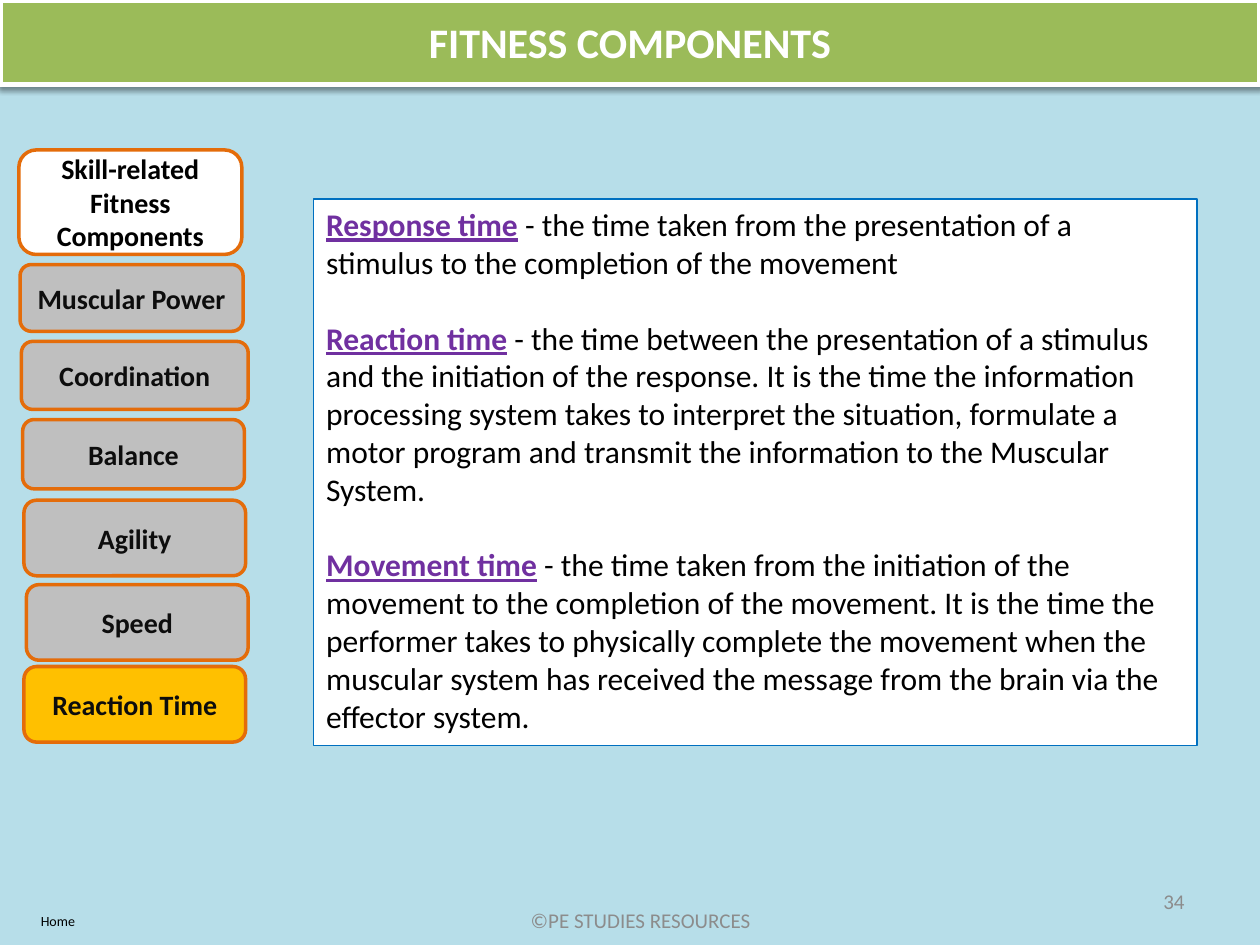
import pptx
import pptx.util
import pptx.dml.color
import pptx.enum.shapes
import pptx.enum.text
import pptx.oxml
import pptx.oxml.ns

Inches, Pt = pptx.util.Inches, pptx.util.Pt
RGBColor = pptx.dml.color.RGBColor
SHAPE = pptx.enum.shapes.MSO_SHAPE
ALIGN = pptx.enum.text.PP_ALIGN
ANCHOR = pptx.enum.text.MSO_ANCHOR

SKY = RGBColor(0xB7, 0xDE, 0xE9)
GREEN = RGBColor(0x9B, 0xBB, 0x59)
WHITE = RGBColor(0xFF, 0xFF, 0xFF)
BLACK = RGBColor(0, 0, 0)
INK = RGBColor(0x0D, 0x0D, 0x0D)
GREY = RGBColor(0xBF, 0xBF, 0xBF)
FOOTER_GREY = RGBColor(0x8C, 0x8C, 0x8C)
ORANGE = RGBColor(0xE4, 0x6C, 0x0A)
AMBER = RGBColor(0xFF, 0xC0, 0x00)
BLUE = RGBColor(0x00, 0x70, 0xC0)
PURPLE = RGBColor(0x70, 0x30, 0xA0)

BUTTONS = [
    ("Skill-related Fitness Components", (0.15, 1.19, 1.77, 0.83), WHITE, BLACK),
    ("Muscular Power", (0.16, 2.1, 1.77, 0.53), GREY, INK),
    ("Coordination", (0.17, 2.71, 1.8, 0.54), GREY, INK),
    ("Balance", (0.18, 3.33, 1.76, 0.55), GREY, INK),
    ("Agility", (0.19, 3.97, 1.76, 0.6), GREY, INK),
    ("Speed", (0.21, 4.64, 1.76, 0.6), GREY, INK),
    ("Reaction Time", (0.19, 5.29, 1.76, 0.6), AMBER, INK),
]

DEFINITIONS = [
    ("Response time",
     "- the time taken from the presentation of a stimulus to the completion "
     "of the movement"),
    ("Reaction time",
     "- the time between the presentation of a stimulus and the initiation of "
     "the response. It is the time the information processing system takes to "
     "interpret the situation, formulate a motor program and transmit the "
     "information to the Muscular System."),
    ("Movement time",
     "- the time taken from the initiation of the movement to the completion "
     "of the movement. It is the time the performer takes to physically "
     "complete the movement when the muscular system has received the message "
     "from the brain via the effector system."),
]


def add_run(p, text, size, color, **formats):
    r = p.add_run()
    r.text = text
    r.font.color.rgb = color
    for name, value in {"name": "Calibri", "size": Pt(size), **formats}.items():
        setattr(r.font, name, value)


def add_panel(s, kind, box, fill, line, width):
    sp = s.shapes.add_shape(kind, *map(Inches, box))
    sp.shadow.inherit = False
    sp.fill.solid()
    sp.fill.fore_color.rgb = fill
    sp.line.color.rgb = line
    sp.line.width = Pt(width)
    return sp


def write_line(sp, text, size, color, align=ALIGN.CENTER, anchor=ANCHOR.MIDDLE, **formats):
    tf = sp.text_frame
    tf.word_wrap = True
    tf.vertical_anchor = anchor
    p = tf.paragraphs[0]
    p.alignment = align
    add_run(p, text, size, color, **formats)


def add_drop_shadow(sp):
    effects = sp._element.spPr.find(pptx.oxml.ns.qn("a:effectLst"))
    effects.append(pptx.oxml.parse_xml(
        f'<a:outerShdw {pptx.oxml.ns.nsdecls("a")} blurRad="{Pt(3.1)}" '
        f'dist="{Pt(1.6)}" dir="5400000" rotWithShape="0">'
        '<a:srgbClr val="000000"><a:alpha val="38000"/></a:srgbClr></a:outerShdw>'))


def add_header(s, box):
    sp = add_panel(s, SHAPE.RECTANGLE, box, GREEN, WHITE, 3)
    add_drop_shadow(sp)
    write_line(sp, "FITNESS COMPONENTS", 24, WHITE, bold=True)


def add_menu(s):
    for text, box, fill, color in BUTTONS:
        sp = add_panel(s, SHAPE.ROUNDED_RECTANGLE, box, fill, ORANGE, 2)
        write_line(sp, text, 16, color, bold=True)


def add_definitions(s, box):
    sp = add_panel(s, SHAPE.RECTANGLE, box, WHITE, BLUE, 0.75)
    tf = sp.text_frame
    tf.word_wrap = True
    tf.vertical_anchor = ANCHOR.TOP
    for i, (term, meaning) in enumerate(DEFINITIONS):
        p = tf.add_paragraph() if i else tf.paragraphs[0]
        p.alignment = ALIGN.LEFT
        if i:
            p.space_before = Pt(21.6)
        add_run(p, term, 18, PURPLE, bold=True, underline=True)
        add_run(p, " ", 18, PURPLE, bold=True)
        add_run(p, meaning, 18, BLACK)


def add_label(s, box, *args, **formats):
    write_line(s.shapes.add_textbox(*map(Inches, box)), *args, **formats)


def add_footer(s):
    add_label(s, (3.5, 7.1, 3.17, 0.4), "©PE STUDIES RESOURCES", 12, FOOTER_GREY)
    add_label(s, (7.17, 6.95, 2.33, 0.4), "34", 12, FOOTER_GREY, align=ALIGN.RIGHT)
    add_label(s, (0, 7.19, 0.92, 0.24), "Home", 8, BLACK, anchor=ANCHOR.TOP)


def main():
    prs = pptx.Presentation()
    prs.slide_width, prs.slide_height = Inches(10), Inches(7.5)
    s = prs.slides.add_slide(prs.slide_layouts[6])
    s.background.fill.solid()
    s.background.fill.fore_color.rgb = SKY
    add_footer(s)
    add_definitions(s, (2.49, 1.58, 7.01, 4.34))
    add_header(s, (0, 0, 10, 0.67))
    add_menu(s)
    prs.save("out.pptx")


if __name__ == "__main__":
    main()
